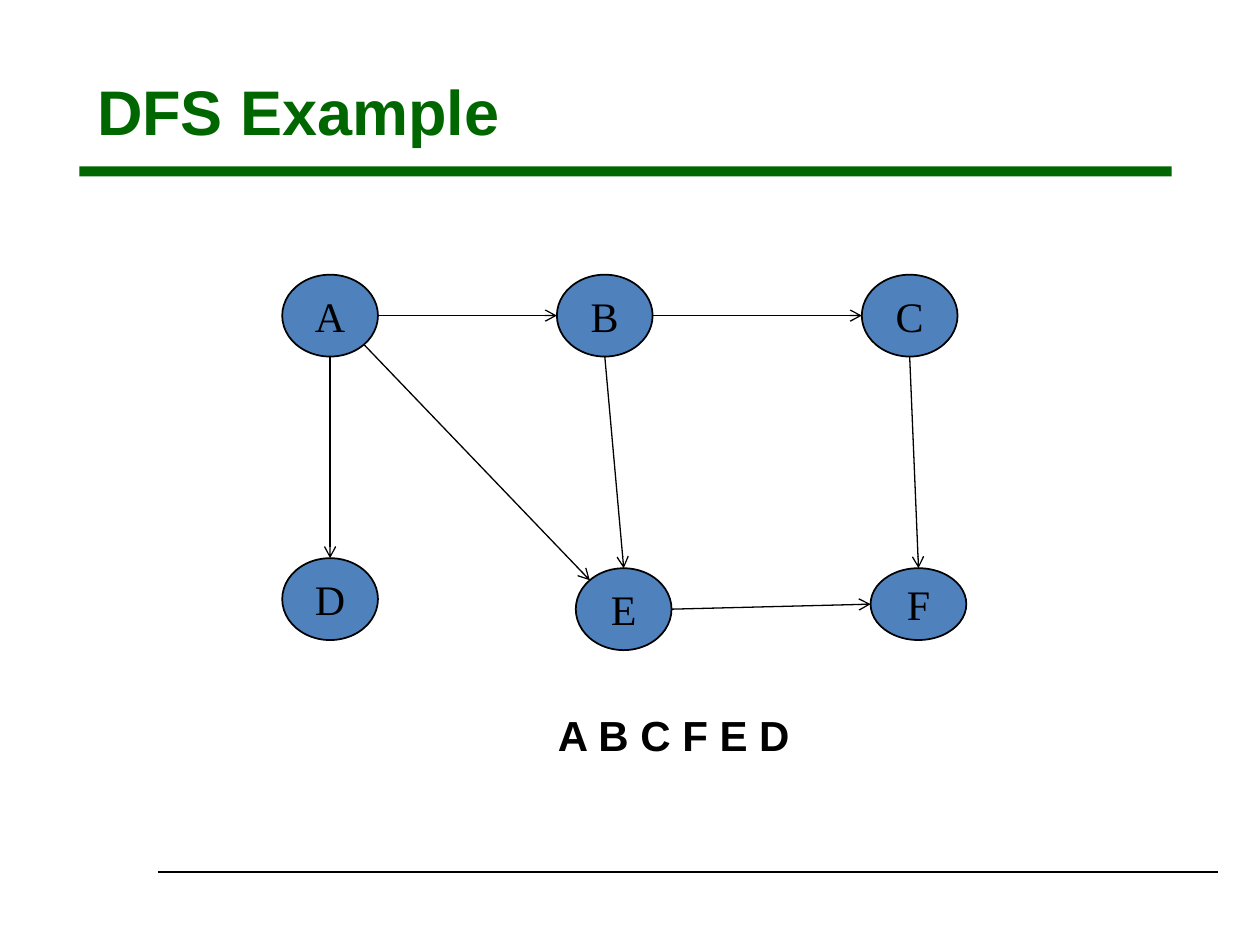
from dataclasses import dataclass
from math import sqrt

from lxml.etree import SubElement
from pptx import Presentation
from pptx.dml.color import RGBColor
from pptx.enum.shapes import MSO_CONNECTOR as Connector, MSO_SHAPE as Shape
from pptx.enum.text import MSO_ANCHOR as Anchor, PP_ALIGN as Align
from pptx.oxml.ns import qn
from pptx.util import Inches, Pt


@dataclass(frozen=True)
class Theme:
    green = RGBColor(0x00, 0x66, 0x00)
    blue = RGBColor(0x4F, 0x81, 0xBD)
    black = RGBColor(0x00, 0x00, 0x00)
    heading_font = "Arial"
    node_font = "Times New Roman"
    title_size = Pt(36)
    body_size = Pt(24)
    node_line = Pt(1)
    thin_line = Pt(0.75)


THEME = Theme()
TITLE_FORMAT = {"name": THEME.heading_font, "size": THEME.title_size, "bold": True}
ORDER_FORMAT = {"name": THEME.heading_font, "size": THEME.body_size, "bold": True}
NODE_FORMAT = {"name": THEME.node_font, "size": THEME.body_size, "bold": False}

NODE_WIDTH, NODE_HEIGHT = 0.76, 0.65
# Name: left and top within the graph box, height
NODES = {
    "A": (0, 0, NODE_HEIGHT),
    "D": (0, 2.25, NODE_HEIGHT),
    "E": (2.33, 2.33, NODE_HEIGHT),
    "B": (2.18, 0, NODE_HEIGHT),
    "F": (4.67, 2.33, 0.57),
    "C": (4.6, 0, NODE_HEIGHT),
}

# Directions from a node's centre to its rim
DIAGONAL = 1 / sqrt(2)
RIGHT, LEFT, BOTTOM, TOP = (1, 0), (-1, 0), (0, 1), (0, -1)
BOTTOM_RIGHT, TOP_LEFT = (DIAGONAL, DIAGONAL), (-DIAGONAL, -DIAGONAL)
EDGES = [
    ("A", RIGHT, "B", LEFT),
    ("A", BOTTOM_RIGHT, "E", TOP_LEFT),
    ("A", BOTTOM, "D", TOP),
    ("B", RIGHT, "C", LEFT),
    ("B", BOTTOM, "E", TOP),
    ("C", BOTTOM, "F", TOP),
    ("E", RIGHT, "F", LEFT),
]


def write_text(text_frame, text, font_format, color, align=Align.LEFT):
    paragraph = text_frame.paragraphs[0]
    paragraph.text = text
    paragraph.alignment = align
    font = paragraph.runs[0].font
    for name, value in font_format.items():
        setattr(font, name, value)
    font.color.rgb = color


def add_line(slide, start, end, arrow=False):
    points = [Inches(value) for value in (*start, *end)]
    connector = slide.shapes.add_connector(Connector.STRAIGHT, *points)
    connector.line.color.rgb = THEME.black
    connector.line.width = THEME.thin_line
    if arrow:
        SubElement(connector.line._get_or_add_ln(), qn("a:tailEnd"), type="arrow")
    SubElement(connector._element.spPr, qn("a:effectLst"))


def add_title(slide, left, top, width, height):
    title = slide.shapes.title
    title.left, title.top = Inches(left), Inches(top)
    title.width, title.height = Inches(width), Inches(height)
    title.text_frame.vertical_anchor = Anchor.MIDDLE
    write_text(title.text_frame, "DFS Example", TITLE_FORMAT, THEME.green)


def add_title_bar(slide, left, top, width, height):
    bar = slide.shapes.add_shape(
        Shape.RECTANGLE, Inches(left), Inches(top), Inches(width), Inches(height)
    )
    bar.shadow.inherit = False
    bar.fill.solid()
    bar.fill.fore_color.rgb = THEME.green
    bar.line.fill.background()


def add_node(slide, name, left, top, width, height):
    node = slide.shapes.add_shape(
        Shape.OVAL, Inches(left), Inches(top), Inches(width), Inches(height)
    )
    node.shadow.inherit = False
    node.fill.solid()
    node.fill.fore_color.rgb = THEME.blue
    node.line.color.rgb = THEME.black
    node.line.width = THEME.node_line
    node.text_frame.word_wrap = False
    node.text_frame.vertical_anchor = Anchor.MIDDLE
    write_text(node.text_frame, name, NODE_FORMAT, THEME.black, Align.CENTER)


def add_graph(slide, left, top):
    def rim_point(name, direction):
        node_left, node_top, height = NODES[name]
        return (
            left + node_left + NODE_WIDTH / 2 * (1 + direction[0]),
            top + node_top + height / 2 * (1 + direction[1]),
        )

    for name, (node_left, node_top, height) in NODES.items():
        add_node(slide, name, left + node_left, top + node_top, NODE_WIDTH, height)
    for source, leaving, target, entering in EDGES:
        start, end = rim_point(source, leaving), rim_point(target, entering)
        add_line(slide, start, end, arrow=True)


def add_visit_order(slide, left, top, width, height):
    box = slide.shapes.add_textbox(
        Inches(left), Inches(top), Inches(width), Inches(height)
    )
    box.text_frame.word_wrap = True
    write_text(box.text_frame, "A B C F E D", ORDER_FORMAT, THEME.black)


def main():
    presentation = Presentation()
    presentation.slide_width, presentation.slide_height = Inches(10), Inches(7.5)
    slide = presentation.slides.add_slide(presentation.slide_layouts[5])
    add_line(slide, (1.25, 6.92), (9.67, 6.92))
    add_title_bar(slide, 0.63, 1.32, 8.67, 0.08)
    add_title(slide, 0.67, 0.25, 9, 1.25)
    add_graph(slide, 2.24, 2.18)
    add_visit_order(slide, 4.33, 5.58, 2.25, 0.5)
    presentation.save("out.pptx")


if __name__ == "__main__":
    main()
